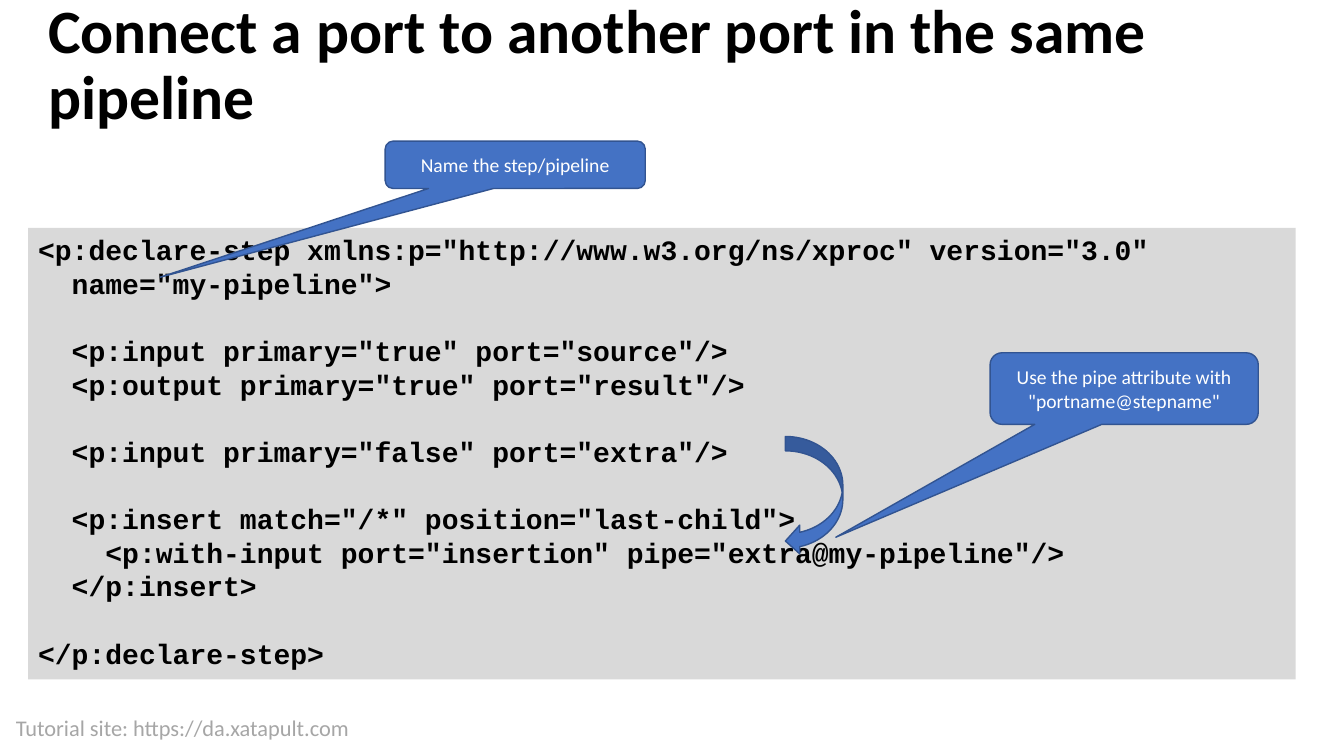
from lxml import etree
from pptx import Presentation
from pptx.dml.color import RGBColor
from pptx.enum.shapes import MSO_SHAPE
from pptx.enum.text import MSO_ANCHOR, PP_ALIGN
from pptx.oxml.ns import qn
from pptx.util import Emu, Pt

PX = 9144  # 100 px to the inch
RECTANGLE = MSO_SHAPE.RECTANGLE
CALLOUT = MSO_SHAPE.ROUNDED_RECTANGULAR_CALLOUT
CURVED_ARROW = MSO_SHAPE.CURVED_RIGHT_ARROW
TOP, MIDDLE = MSO_ANCHOR.TOP, MSO_ANCHOR.MIDDLE
LEFT, CENTER = PP_ALIGN.LEFT, PP_ALIGN.CENTER

BLUE, DARK_BLUE = "4472C4", "325491"
BLACK, WHITE, CODE_GREY, FOOTER_GREY = "000000", "FFFFFF", "D9D9D9", "A6A6A6"

PIPELINE_CODE = """\
<p:declare-step xmlns:p="http://www.w3.org/ns/xproc" version="3.0"
  name="my-pipeline">

  <p:input primary="true" port="source"/>
  <p:output primary="true" port="result"/>

  <p:input primary="false" port="extra"/>

  <p:insert match="/*" position="last-child">
    <p:with-input port="insertion" pipe="extra@my-pipeline"/>
  </p:insert>

</p:declare-step>"""


def px(*lengths):
    return [Emu(length * PX) for length in lengths]


def color(hex_string):
    return RGBColor.from_string(hex_string)


def write(frame, text, size, ink, font="Calibri", bold=False,
          align=LEFT, anchor=TOP, spacing=1.0):
    frame.word_wrap = True
    frame.vertical_anchor = anchor
    frame.text = text
    for paragraph in frame.paragraphs:
        paragraph.alignment = align
        paragraph.line_spacing = spacing
        for run in paragraph.runs:
            run.font.name = font
            run.font.size = Pt(size)
            run.font.bold = bold
            run.font.color.rgb = color(ink)
        if not paragraph.runs:  # an empty code line keeps the height of the others
            end = etree.SubElement(paragraph._p, qn("a:endParaRPr"), sz=str(size * 100))
            etree.SubElement(end, qn("a:latin"), typeface=font)


def add_label(slide, box, text, size, ink, **style):
    label = slide.shapes.add_textbox(*px(*box))
    write(label.text_frame, text, size, ink, **style)


def add_filled(slide, preset, box, fill, outline=None):
    shape = slide.shapes.add_shape(preset, *px(*box))
    shape.shadow.inherit = False
    shape.fill.solid()
    shape.fill.fore_color.rgb = color(fill)
    if outline:
        shape.line.color.rgb = color(outline)
        shape.line.width = Pt(1)
    else:
        shape.line.fill.background()
    return shape


def add_code_panel(slide, box, code):
    panel = add_filled(slide, RECTANGLE, box, CODE_GREY)
    write(panel.text_frame, code, 20, BLACK, font="Courier New", bold=True)


def add_callout(slide, box, text, tip):
    """Point a callout at tip, an x, y position on the slide in px."""
    left, top, width, height = box
    callout = add_filled(slide, CALLOUT, box, BLUE, DARK_BLUE)
    callout.adjustments[0] = (tip[0] - left) / width - 0.5
    callout.adjustments[1] = (tip[1] - top) / height - 0.5
    write(callout.text_frame, text, 14, WHITE, align=CENTER, anchor=MIDDLE)


def add_port_arrow(slide, box):
    arrow = add_filled(slide, CURVED_ARROW, box, BLUE, DARK_BLUE)
    arrow._element.spPr.find(qn("a:xfrm")).set("flipH", "1")


def build_port_slide(slide):
    add_label(slide, (6, 704, 441, 37), "Tutorial site: https://da.xatapult.com",
              16, FOOTER_GREY)
    add_label(slide, (38, 19, 1271, 94),
              "Connect a port to another port in the same pipeline",
              44, BLACK, bold=True, anchor=MIDDLE, spacing=0.9)
    add_code_panel(slide, (28, 226, 1257, 448), PIPELINE_CODE)
    add_callout(slide, (382, 140, 258, 47), "Name the step/pipeline", (159, 275))
    add_callout(slide, (982, 350, 266, 71),
                'Use the pipe attribute with "portname@stepname"', (829, 533))
    add_port_arrow(slide, (779, 433, 57, 118))


def main():
    deck = Presentation()
    deck.slide_width, deck.slide_height = px(1333, 750)
    build_port_slide(deck.slides.add_slide(deck.slide_layouts[6]))
    deck.save("out.pptx")


if __name__ == "__main__":
    main()
